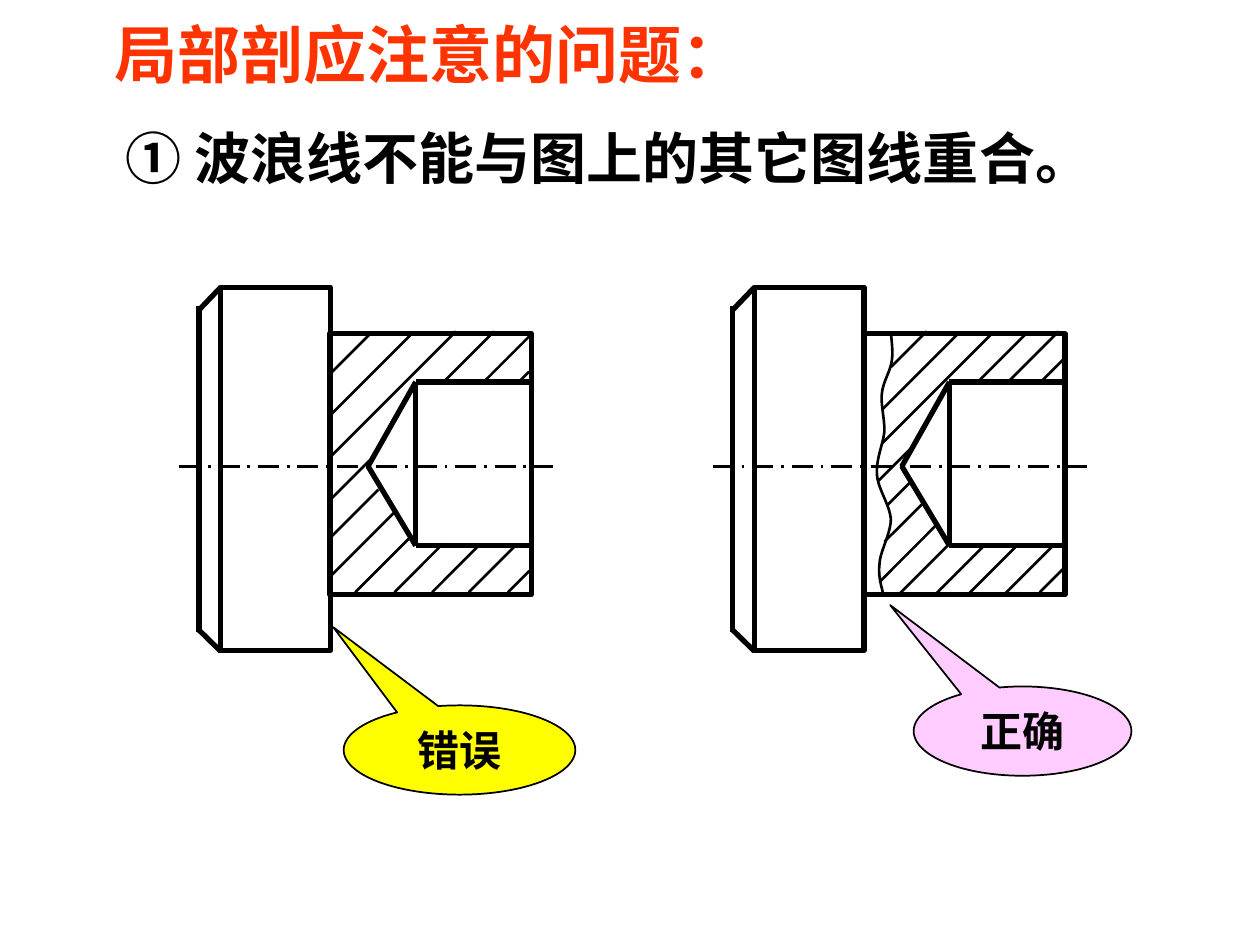
from lxml.etree import SubElement
from pptx import Presentation
from pptx.dml.color import RGBColor
from pptx.enum.dml import MSO_LINE
from pptx.enum.shapes import MSO_CONNECTOR, MSO_SHAPE
from pptx.enum.text import MSO_ANCHOR, MSO_AUTO_SIZE, PP_ALIGN
from pptx.oxml.ns import qn
from pptx.util import Cm, Pt

# Content: all lengths in cm, drawings described at the left position
TITLE = "局部剖应注意的问题："
RULE = "① 波浪线不能与图上的其它图线重合。"
BLACK, RED, YELLOW, PINK = "000000", "FF3300", "FFFF00", "FFCCFF"
SERIF, SANS = "Times New Roman", "Noto Sans CJK SC"
THICK, THIN = 3, 1.5

AXIS = (3.61, 9.4, 11.15, 9.4)
BODIES = [(4.45, 5.79, 2.21, 7.32), (6.65, 6.73, 4.06, 5.26)]  # head, shank
EDGES = [
    (4.45, 5.79, 3.99, 6.27), (4.45, 13.13, 4.01, 12.7),  # chamfers
    (4.01, 12.75, 4.01, 6.17),
    (8.38, 7.7, 10.74, 7.7), (8.38, 11, 10.74, 11),  # drilled hole
    (8.38, 7.7, 8.38, 11), (8.38, 7.7, 7.42, 9.4), (7.42, 9.4, 8.38, 11),
]

# Hatching at 45 degrees: left end x, left end y, horizontal reach
HATCH_WRONG = [
    (6.65, 7.54, 0.85), (6.65, 8.38, 1.69), (6.65, 9.22, 2.54),
    (6.65, 10.08, 0.8), (8.97, 7.67, 0.99), (9.78, 7.67, 0.89),
    (10.49, 7.67, 0.18), (6.65, 10.85, 0.98), (6.65, 11.63, 1.3),
    (7.16, 11.94, 1.09), (7.95, 11.94, 0.98), (8.71, 11.94, 0.97),
    (9.45, 11.94, 0.97), (10.24, 11.94, 0.43),
]
HATCH_RIGHT = [
    (7.2, 7.4, 0.72), (7.02, 8.26, 1.57), (7.02, 8.94, 2.21),
    (6.94, 9.7, 0.64), (8.98, 7.67, 0.98), (9.56, 7.7, 1.02),
    (10.25, 7.67, 0.47), (7.12, 10.19, 0.47), (7.07, 10.92, 0.76),
    (6.97, 11.73, 1.14), (7.35, 11.99, 1.02), (8.09, 11.99, 0.98),
    (8.75, 11.99, 1.02), (9.48, 11.99, 1.02), (10.2, 11.94, 0.51),
]

# Wavy break line: start, then two control points and an end per Bezier arc
WAVE_START = (7.2, 6.68)
WAVE_ARCS = [
    ((7.2, 6.78), (7.25, 7.06), (7.22, 7.26)),
    ((7.2, 7.47), (7.05, 7.67), (7.02, 7.92)),
    ((6.99, 8.15), (7.07, 8.41), (7.07, 8.69)),
    ((7.05, 8.94), (6.89, 9.27), (6.92, 9.58)),
    ((6.94, 9.86), (7.17, 10.16), (7.2, 10.46)),
    ((7.2, 10.77), (6.97, 11.13), (6.97, 11.38)),
    ((6.94, 11.63), (7.02, 11.86), (7.05, 11.99)),
]
ARC_STEPS = 10

# Shift to the right, hatching, break line shown
DRAWINGS = [(0, HATCH_WRONG, False), (10.76, HATCH_RIGHT, True)]
# Text, fill, box, tip position
CALLOUTS = [
    ("错误", YELLOW, (6.93, 14.22, 4.67, 1.8), (-0.545, -1.375)),
    ("正确", PINK, (18.42, 13.84, 4.39, 1.8), (-0.608, -1.412)),
]


def color(hex_code):
    return RGBColor.from_string(hex_code)


def outline(shape, width):
    shape.line.color.rgb = color(BLACK)
    shape.line.width = Pt(width)


def write(shape, text, size, font_name, hex_code, align=PP_ALIGN.LEFT):
    paragraph = shape.text_frame.paragraphs[0]
    paragraph.text = text
    paragraph.alignment = align
    paragraph.space_before = Pt(0)
    font = paragraph.font
    font.size, font.name, font.bold = Pt(size), font_name, True
    font.color.rgb = color(hex_code)


def draw_line(group, x1, y1, x2, y2, width):
    line = group.shapes.add_connector(
        MSO_CONNECTOR.STRAIGHT, Cm(x1), Cm(y1), Cm(x2), Cm(y2))
    outline(line, width)
    SubElement(line._element.spPr, qn("a:effectLst"))
    return line


def bezier(start, control1, control2, end, t):
    return tuple(
        (1 - t) ** 3 * a + 3 * (1 - t) ** 2 * t * b
        + 3 * (1 - t) * t ** 2 * c + t ** 3 * d
        for a, b, c, d in zip(start, control1, control2, end))


def draw_wave(group, shift):
    points, start = [WAVE_START], WAVE_START
    for arc in WAVE_ARCS:
        points += [bezier(start, *arc, step / ARC_STEPS)
                   for step in range(1, ARC_STEPS + 1)]
        start = arc[-1]
    first, *rest = [(Cm(x + shift), Cm(y)) for x, y in points]
    builder = group.shapes.build_freeform(*first)
    builder.add_line_segments(rest, close=False)
    wave = builder.convert_to_shape()
    wave.shadow.inherit = False
    wave.fill.background()
    outline(wave, THIN)


def draw_part(slide, shift, hatching, has_wave):
    group = slide.shapes.add_group_shape()

    def shifted_line(x1, y1, x2, y2, width):
        return draw_line(group, x1 + shift, y1, x2 + shift, y2, width)

    shifted_line(*AXIS, THIN).line.dash_style = MSO_LINE.LONG_DASH_DOT
    for x, y, width, height in BODIES:
        body = group.shapes.add_shape(
            MSO_SHAPE.RECTANGLE, Cm(x + shift), Cm(y), Cm(width), Cm(height))
        body.shadow.inherit = False
        body.fill.background()
        outline(body, THICK)
    for edge in EDGES:
        shifted_line(*edge, THICK)
    if has_wave:
        draw_wave(group, shift)
    for x, y, reach in hatching:
        shifted_line(x, y, x + reach, y - reach, THIN)


def main():
    prs = Presentation()
    prs.slide_width, prs.slide_height = Cm(25.4), Cm(19.05)
    slide = prs.slides.add_slide(prs.slide_layouts[5])

    # Title
    title = slide.shapes.title
    title.left, title.top, title.width, title.height = map(
        Cm, (2.06, 0.18, 13.21, 1.78))
    title.text_frame.word_wrap = False
    title.text_frame.auto_size = MSO_AUTO_SIZE.NONE
    title.text_frame.vertical_anchor = MSO_ANCHOR.TOP
    write(title, TITLE, 36, SERIF, RED)

    # Rule
    rule = slide.shapes.add_textbox(*map(Cm, (2.29, 2.36, 19.84, 1.63)))
    rule.text_frame.word_wrap = True
    write(rule, RULE, 32, SANS, BLACK)

    # Section drawings
    for drawing in DRAWINGS:
        draw_part(slide, *drawing)

    # Verdicts
    for text, fill, box, tip in CALLOUTS:
        callout = slide.shapes.add_shape(
            MSO_SHAPE.OVAL_CALLOUT, *map(Cm, box))
        callout.adjustments[0], callout.adjustments[1] = tip
        callout.shadow.inherit = False
        callout.fill.solid()
        callout.fill.fore_color.rgb = color(fill)
        outline(callout, 1)
        callout.text_frame.vertical_anchor = MSO_ANCHOR.MIDDLE
        write(callout, text, 24, SERIF, BLACK, PP_ALIGN.CENTER)

    prs.save("out.pptx")


if __name__ == "__main__":
    main()
